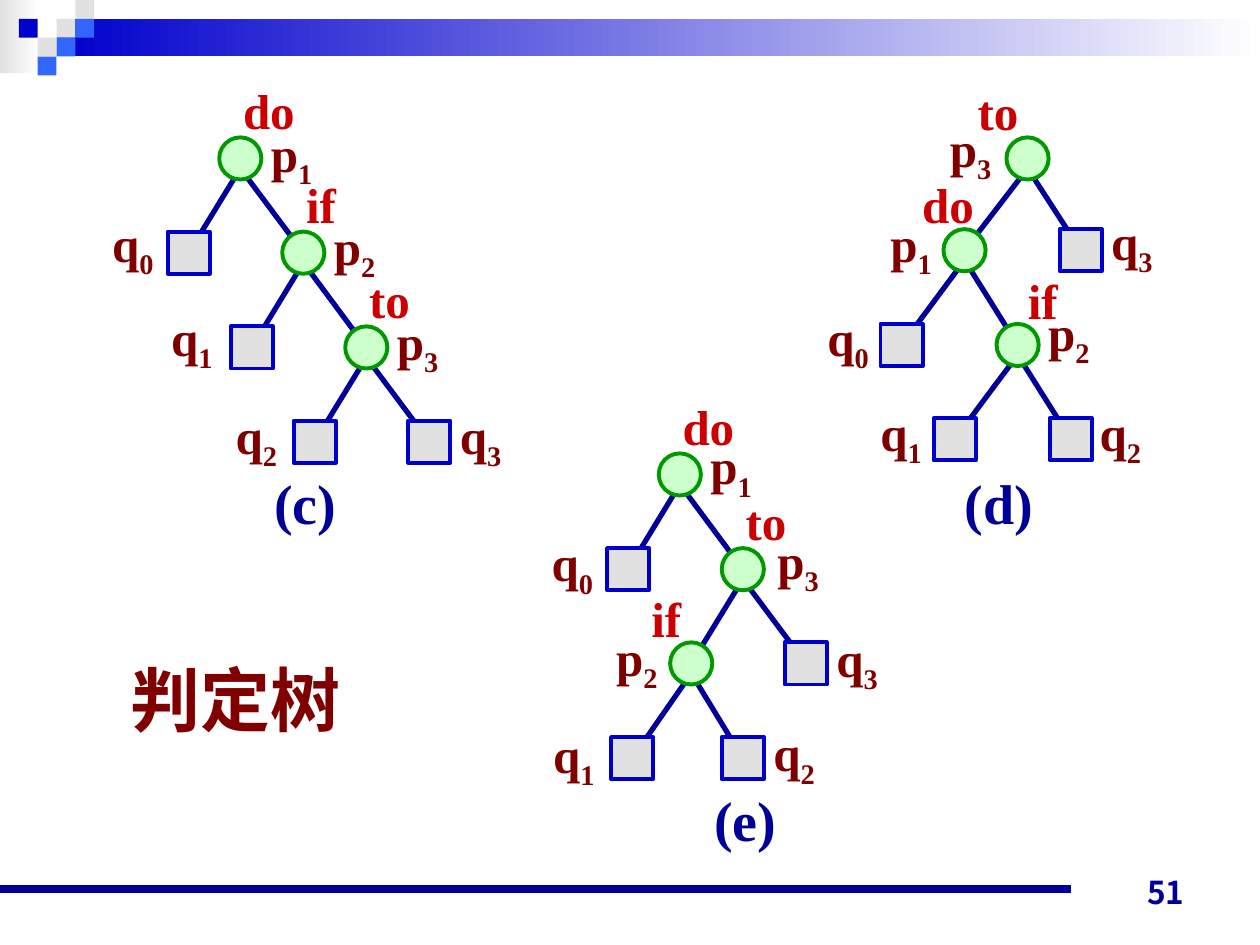
from collections import namedtuple

from lxml import etree
from pptx import Presentation
from pptx import util as u
from pptx.dml.color import RGBColor
from pptx.enum import shapes, text
from pptx.oxml import ns

SERIF, SANS, CJK = "Times New Roman", "Arial", "Noto Sans CJK JP"
NAVY, BLUE, SKY, GREY, WHITE = "000099", "0000CC", "3366FF", "E1E1E1", "FFFFFF"
RED, MAROON, GREEN, MINT = "CC0000", "800000", "009900", "CCFFCC"

PIXEL = 0.38
PIXELS = {GREY: [(3, 1), (4, 0), (2, 2)],
          SKY: [(4, 1), (3, 2), (2, 3)],
          BLUE: [(1, 1)]}
NODE = 0.85
EDGE_DROP = 0.2  # edges leave a parent a little below its centre
WORDS = {"p1": ("do", 1.55), "p2": ("if", 1.12), "p3": ("to", 1.35)}

# Positions are left and top in centimetres; only p nodes carry a word.
Node = namedtuple("Node", "name parent at label word", defaults=[None])
Tree = namedtuple("Tree", "caption caption_at nodes")

TREES = [
    Tree("(c)", (5.28, 9.32), [
        Node("p1", None, (4.42, 2.77), (5.21, 2.36), (4.65, 1.5)),
        Node("p2", "p1", (5.69, 4.67), (6.48, 4.24), (5.92, 3.4)),
        Node("p3", "p2", (6.96, 6.58), (7.75, 6.15), (7.19, 5.31)),
        Node("q0", "p1", (3.38, 4.67), (2.01, 4.17)),
        Node("q1", "p2", (4.65, 6.58), (3.2, 6.07)),
        Node("q2", "p3", (5.92, 8.48), (4.5, 8.05)),
        Node("q3", "p3", (8.23, 8.48), (9.02, 8.05)),
    ]),
    Tree("(d)", (19.2, 9.32), [
        Node("p3", None, (20.29, 2.77), (18.9, 2.26), (19.46, 1.52)),
        Node("p1", "p3", (19.02, 4.62), (17.7, 4.17), (18.34, 3.4)),
        Node("p2", "p1", (20.09, 6.53), (20.88, 5.97), (20.47, 5.33)),
        Node("q0", "p1", (17.75, 6.53), (16.43, 6.07)),
        Node("q1", "p2", (18.82, 8.43), (17.5, 7.98)),
        Node("q2", "p2", (21.16, 8.43), (21.92, 7.98)),
        Node("q3", "p3", (21.36, 4.62), (22.15, 4.14)),
    ]),
    Tree("(e)", (14.15, 15.72), [
        Node("p1", None, (13.28, 9.14), (14.07, 8.66), (13.51, 7.87)),
        Node("p3", "p1", (14.55, 11.05), (15.42, 10.57), (14.78, 9.78)),
        Node("p2", "p3", (13.51, 12.95), (12.17, 12.52), (12.88, 11.73)),
        Node("q0", "p1", (12.24, 11.05), (10.87, 10.62)),
        Node("q1", "p2", (12.32, 14.86), (10.9, 14.48)),
        Node("q2", "p2", (14.55, 14.86), (15.34, 14.45)),
        Node("q3", "p3", (15.82, 12.95), (16.61, 12.55)),
    ]),
]


def rgb(value):
    return RGBColor.from_string(value)


def add_text(page, content, at, size, *, sub="", points=28, font=SERIF,
             color=MAROON, wrap=False, align=text.PP_ALIGN.LEFT,
             anchor=text.MSO_ANCHOR.TOP):
    """Add one bold line; sub is a subscript that follows it."""
    box = page.shapes.add_textbox(*map(u.Cm, at + size))
    frame = box.text_frame
    frame.word_wrap = wrap
    frame.vertical_anchor = anchor
    para = frame.paragraphs[0]
    para.alignment = align
    for part, baseline in ((content, None), (sub, "-25000")):
        if not part:
            continue
        span = para.add_run()
        span.text = part
        span.font.name, span.font.size = font, u.Pt(points)
        span.font.bold = True
        span.font.color.rgb = rgb(color)
        properties = span.font._element
        east_asian = etree.SubElement(properties, ns.qn("a:ea"))
        east_asian.set("typeface", CJK)
        if baseline:
            properties.set("baseline", baseline)


def add_figure(page, kind, at, size, fill, line=None):
    """Add a preset shape; a pair of fill colours makes a gradient."""
    figure = page.shapes.add_shape(kind, *map(u.Cm, at + size))
    figure.shadow.inherit = False
    if isinstance(fill, tuple):
        figure.fill.gradient()
        figure.fill.gradient_angle = 0
        for stop, color in zip(figure.fill.gradient_stops, fill):
            stop.color.rgb = rgb(color)
    else:
        figure.fill.solid()
        figure.fill.fore_color.rgb = rgb(fill)
    if line:
        figure.line.color.rgb = rgb(line)
        figure.line.width = u.Pt(2.25)
    else:
        figure.line.fill.background()


def add_line(page, start, end, width):
    line = page.shapes.add_connector(
        shapes.MSO_CONNECTOR.STRAIGHT, *map(u.Cm, start + end))
    line.line.color.rgb = rgb(NAVY)
    line.line.width = u.Pt(width)
    etree.SubElement(line._element.spPr, ns.qn("a:effectLst"))


def add_banner(page):
    rectangle = shapes.MSO_SHAPE.RECTANGLE
    add_figure(page, rectangle, (0, 0), (0.79, 1.47), (GREY, WHITE))
    add_figure(page, rectangle, (1.14, 0.38), (24.26, 0.76), (BLUE, WHITE))
    for color, cells in PIXELS.items():
        for column, row in cells:
            add_figure(page, rectangle, (column * PIXEL, row * PIXEL),
                       (PIXEL, PIXEL), color)


def add_tree(page, tree):
    centers = {node.name: (node.at[0] + NODE / 2, node.at[1] + NODE / 2)
               for node in tree.nodes}
    for node in tree.nodes:
        if node.parent:
            x, y = centers[node.parent]
            add_line(page, (x, y + EDGE_DROP), centers[node.name], 3)
    for node in tree.nodes:
        if node.word:
            kind, fill, line = shapes.MSO_SHAPE.OVAL, MINT, GREEN
            word, width = WORDS[node.name]
            add_text(page, word, node.word, (width, 1.45), color=RED)
        else:
            kind, fill, line = shapes.MSO_SHAPE.RECTANGLE, GREY, BLUE
        add_figure(page, kind, node.at, (NODE, NODE), fill, line)
        letter, index = node.name
        add_text(page, letter, node.label, (1.4, 1.45), sub=index)
    add_text(page, tree.caption, tree.caption_at, (2, 1.6),
             points=32, color=NAVY)


def main():
    deck = Presentation()
    deck.slide_width, deck.slide_height = u.Cm(25.4), u.Cm(19.05)
    page = deck.slides.add_slide(deck.slide_layouts[6])
    add_banner(page)
    add_line(page, (0, 17.93), (21.59, 17.93), 4.5)
    add_text(page, "51", (18.21, 17.22), (5.92, 1.27), points=18, font=CJK,
             color=NAVY, wrap=True, align=text.PP_ALIGN.RIGHT,
             anchor=text.MSO_ANCHOR.BOTTOM)
    add_text(page, "判定树", (2.39, 13.11), (6.71, 1.9), points=40, font=SANS,
             wrap=True)
    for tree in TREES:
        add_tree(page, tree)
    deck.save("out.pptx")


if __name__ == "__main__":
    main()
